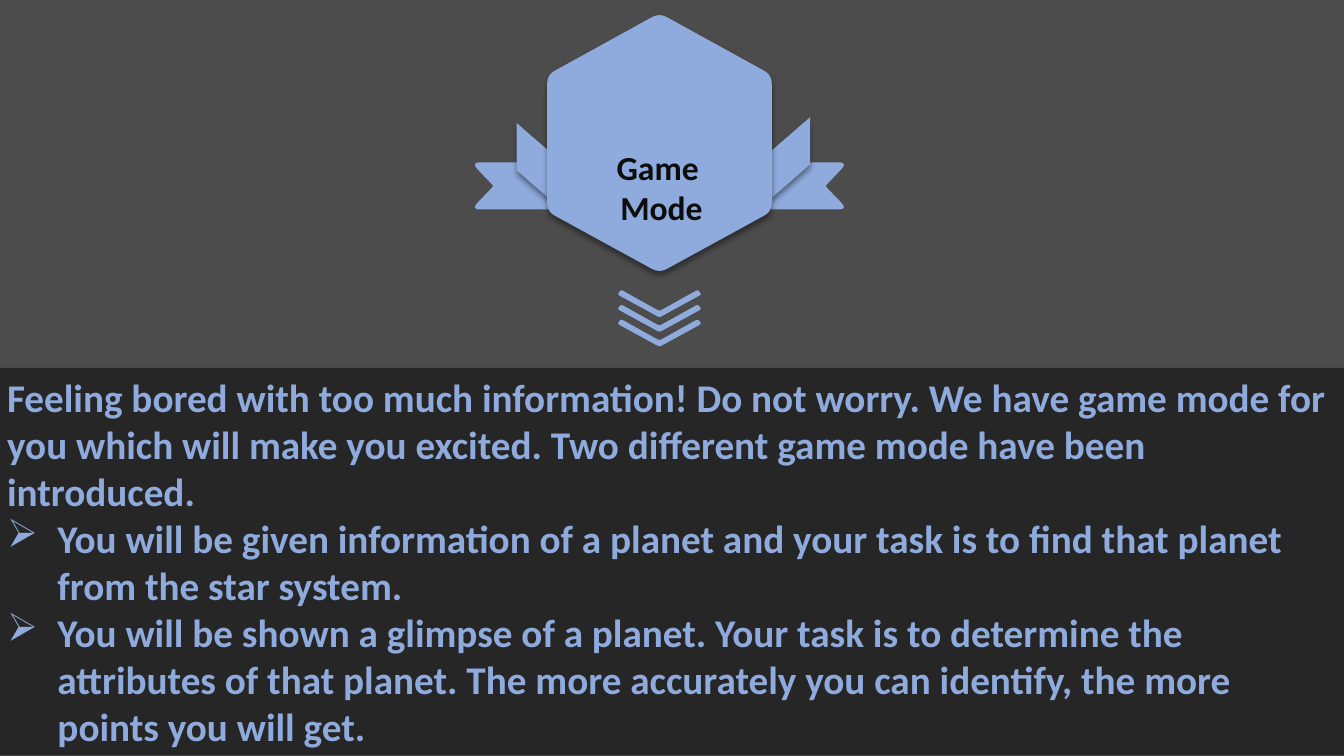
from dataclasses import dataclass

from lxml.etree import SubElement
from pptx import Presentation
from pptx.dml.color import RGBColor
from pptx.enum.shapes import MSO_SHAPE
from pptx.enum.text import MSO_ANCHOR, MSO_AUTO_SIZE, PP_ALIGN
from pptx.oxml.ns import qn
from pptx.util import Cm, Pt


@dataclass(frozen=True)
class Theme:
    backdrop: RGBColor = RGBColor(0x4C, 0x4C, 0x4C)
    panel: RGBColor = RGBColor(0x26, 0x26, 0x26)
    accent: RGBColor = RGBColor(0x8F, 0xAA, 0xDC)
    title: RGBColor = RGBColor(0x0D, 0x0D, 0x0D)
    font: str = "Calibri"
    title_size: Pt = Pt(24)
    body_size: Pt = Pt(28)


THEME = Theme()
PAGE_WIDTH, PAGE_HEIGHT = 33.87, 19.05
INTRODUCTION = (
    "Feeling bored with too much information! Do not worry. We have game mode "
    "for you which will make you excited. Two different game mode have been introduced."
)
GAME_MODES = [
    "You will be given information of a planet and your task is to find that "
    "planet from the star system.",
    "You will be shown a glimpse of a planet. Your task is to determine the "
    "attributes of that planet. The more accurately you can identify, the more "
    "points you will get.",
]


def toward(start, end, distance):
    dx, dy = end[0] - start[0], end[1] - start[1]
    share = distance / (dx * dx + dy * dy) ** 0.5
    return start[0] + dx * share, start[1] + dy * share


def round_corner(before, corner, after, radius, steps=6):
    start, end = toward(corner, before, radius), toward(corner, after, radius)
    for step in range(steps + 1):
        t = step / steps
        yield tuple(
            (1 - t) ** 2 * a + 2 * t * (1 - t) * b + t * t * c
            for a, b, c in zip(start, corner, end)
        )


def add_outline(page, corners, radii, shadow=False):
    points = []
    for index, (corner, radius) in enumerate(zip(corners, radii)):
        after = corners[(index + 1) % len(corners)]
        if radius:
            points += round_corner(corners[index - 1], corner, after, radius)
        else:
            points.append(corner)
    points = [(Cm(x), Cm(y)) for x, y in points]
    builder = page.shapes.build_freeform(*points[0])
    builder.add_line_segments(points[1:])
    shape = builder.convert_to_shape()
    shape.shadow.inherit = False
    shape.fill.solid()
    shape.fill.fore_color.rgb = THEME.accent
    shape.line.fill.background()
    if shadow:
        effects = shape.element.spPr.find(qn("a:effectLst"))
        outer = SubElement(
            effects, qn("a:outerShdw"), blurRad=str(Pt(4)), dist=str(Pt(3)),
            dir="5400000", algn="t", rotWithShape="0",
        )
        color = SubElement(outer, qn("a:srgbClr"), val="000000")
        SubElement(color, qn("a:alpha"), val="40000")


def write(para, text, size, color):
    span = para.add_run()
    span.text = text
    span.font.name = THEME.font
    span.font.size = size
    span.font.bold = True
    span.font.color.rgb = color


def set_frame(frame, anchor):
    frame.word_wrap = True
    frame.auto_size = MSO_AUTO_SIZE.NONE
    frame.vertical_anchor = anchor
    frame.margin_left = frame.margin_right = Cm(0.18)
    frame.margin_top = frame.margin_bottom = Cm(0.09)


def add_badge(page, center, top):
    for side, inset, drop in ((1, 0, 0), (-1, 0.2, 0.15)):
        tail = [(2.8, 3.71), (4.75, 3.71), (4.18, 4.31), (4.75, 4.9), (2.8, 4.9)]
        fold = [(3.8, 2.57), (3.8, 3.76), (2.81, 4.62), (2.81, 3.43)]
        add_outline(
            page, [(center + side * x, top + y) for x, y in tail],
            [0, 0.25, 0.05, 0.25, 0],
        )
        add_outline(
            page,
            [(center + side * (x - inset), top + y + drop) for x, y in fold],
            [0] * 4, shadow=True,
        )
    hexagon = [(0, -0.05), (2.83, 1.51), (2.83, 4.95),
               (0, 6.5), (-2.83, 4.95), (-2.83, 1.51)]
    add_outline(
        page, [(center + x, top + y) for x, y in hexagon], [0.22] * 6, shadow=True
    )


def add_chevrons(page, center, top, count=3, pitch=0.37):
    chevron = [(-0.97, 0), (0, 0.54), (0.97, 0), (1.06, 0.12), (0, 0.7), (-1.06, 0.12)]
    for row in range(count):
        add_outline(
            page, [(center + x, top + row * pitch + y) for x, y in chevron],
            [0.06] * 6,
        )


def place_title(page, left, top, width, height):
    title = page.shapes.title
    title.left, title.top = Cm(left), Cm(top)
    title.width, title.height = Cm(width), Cm(height)
    title.element.getparent().append(title.element)
    frame = title.text_frame
    set_frame(frame, MSO_ANCHOR.TOP)
    for index, text in enumerate(("Game ", "Mode")):
        para = frame.add_paragraph() if index else frame.paragraphs[0]
        para.alignment = PP_ALIGN.CENTER
        write(para, text, THEME.title_size, THEME.title)


def add_description(page, left, top, width, height):
    box = page.shapes.add_shape(
        MSO_SHAPE.RECTANGLE, Cm(left), Cm(top), Cm(width), Cm(height)
    )
    box.shadow.inherit = False
    box.fill.solid()
    box.fill.fore_color.rgb = THEME.panel
    box.line.fill.background()
    frame = box.text_frame
    set_frame(frame, MSO_ANCHOR.MIDDLE)
    frame.paragraphs[0].alignment = PP_ALIGN.LEFT
    write(frame.paragraphs[0], INTRODUCTION, THEME.body_size, THEME.accent)
    for text in GAME_MODES:
        para = frame.add_paragraph()
        para.alignment = PP_ALIGN.LEFT
        properties = para._p.get_or_add_pPr()
        properties.set("marL", str(Cm(1.27)))
        properties.set("indent", str(Cm(-1.27)))
        SubElement(properties, qn("a:buChar"), char="➢")
        write(para, text, THEME.body_size, THEME.accent)


def main():
    deck = Presentation()
    deck.slide_width, deck.slide_height = Cm(PAGE_WIDTH), Cm(PAGE_HEIGHT)
    page = deck.slides.add_slide(deck.slide_layouts[5])
    page.background.fill.solid()
    page.background.fill.fore_color.rgb = THEME.backdrop
    center = 16.62
    add_badge(page, center, 0.38)
    add_chevrons(page, center, 7.3)
    add_description(page, 0, 9.27, PAGE_WIDTH, 9.76)
    place_title(page, 14.17, 3.61, 5, 2.24)
    deck.save("out.pptx")


if __name__ == "__main__":
    main()
